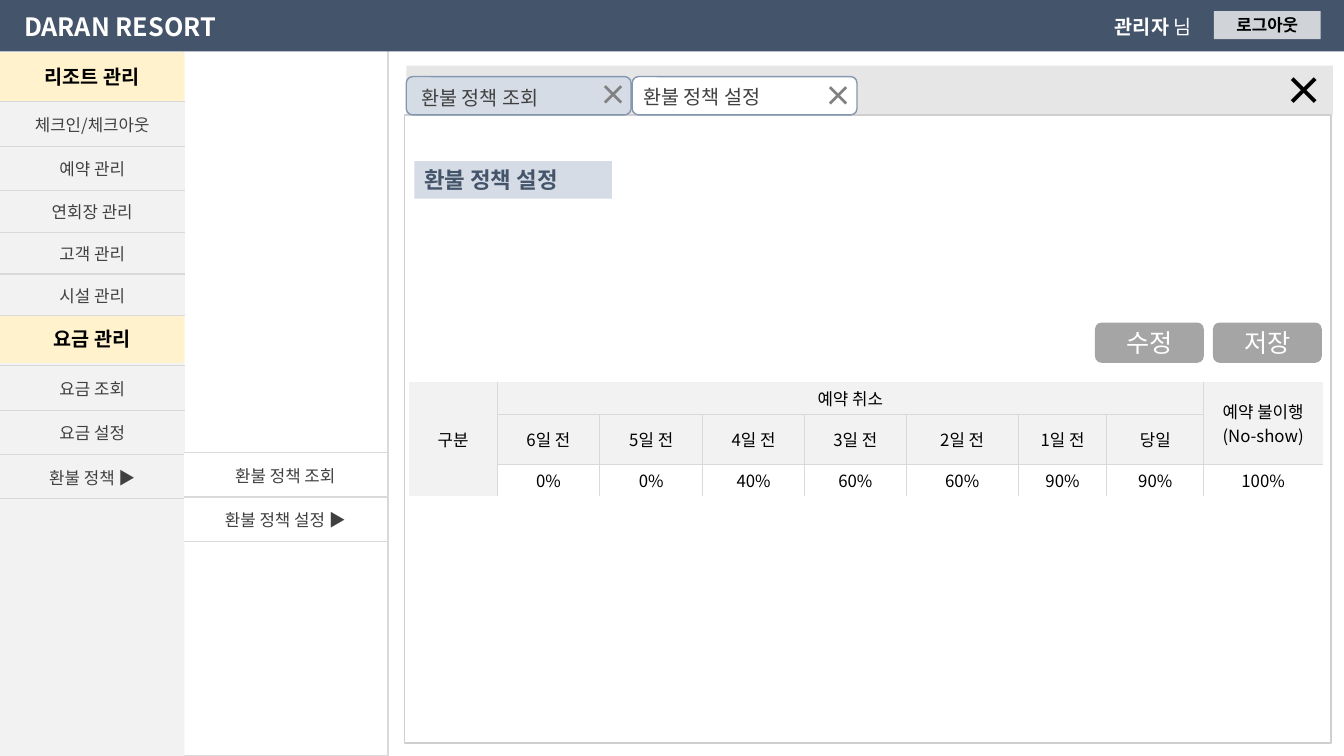
from dataclasses import dataclass
from typing import Callable, Optional

from lxml import etree
from pptx import Presentation
from pptx.dml.color import RGBColor
from pptx.enum.shapes import MSO_SHAPE
from pptx.enum.text import MSO_ANCHOR, PP_ALIGN
from pptx.oxml.ns import qn
from pptx.util import Emu, Pt

RECT, ROUND = MSO_SHAPE.RECTANGLE, MSO_SHAPE.ROUNDED_RECTANGLE
LEFT, CENTER = PP_ALIGN.LEFT, PP_ALIGN.CENTER
TOP, MIDDLE = MSO_ANCHOR.TOP, MSO_ANCHOR.MIDDLE
EMU_PER_PX = 9144  # 100 px to the inch


@dataclass(frozen=True)
class Theme:
    font: str = "Noto Sans CJK KR"
    navy: str = "44546A"
    tab_line: str = "8497B0"
    pale_blue: str = "D6DCE5"
    cream: str = "FFF2CC"
    white: str = "FFFFFF"
    black: str = "000000"
    light: str = "F2F2F2"
    strip: str = "E7E6E6"
    rule: str = "D9D9D9"
    frame: str = "D0CECE"
    button: str = "A5A5A5"
    cross: str = "808080"
    ink: str = "404040"
    small: int = 12
    body: int = 14
    heading: int = 16
    title: int = 18
    tab_cross: int = 20
    close: int = 28


T = Theme()


@dataclass(frozen=True)
class Box:
    """A preset shape, or a text box when shape is None; tail is a non-bold second run."""
    x: int
    y: int
    w: int
    h: int
    shape: Optional[MSO_SHAPE] = RECT
    fill: str = T.white
    line: Optional[str] = None
    text: str = ""
    tail: str = ""
    size: int = T.body
    color: str = T.black
    bold: bool = False
    align: PP_ALIGN = CENTER
    anchor: MSO_ANCHOR = MIDDLE
    opacity: int = 100


@dataclass(frozen=True)
class Menu:
    x: int
    y: int
    w: int
    fill: str
    heights: tuple[int, ...]
    items: tuple[str, ...]


def label(x: int, y: int, w: int, h: int, text: str, size: int, color: str,
          bold: bool = False, align: PP_ALIGN = LEFT, tail: str = "") -> Box:
    return Box(x, y, w, h, None, text=text, tail=tail, size=size, color=color,
               bold=bold, align=align, anchor=TOP)


def tab(x: int, fill: str) -> Box:
    return Box(x, 76, 223, 38, ROUND, fill, T.tab_line)


def button(x: int, text: str) -> Box:
    return Box(x, 320, 108, 40, ROUND, T.button, text=text, size=T.title, color=T.white)


def section(y: int, text: str) -> Box:
    return Box(0, y, 183, 48, fill=T.cream, text=text, bold=True)


BOXES = (
    Box(403, 65, 919, 49, fill=T.strip),
    Box(181, 50, 204, 700, line=T.rule),
    Box(0, 52, 183, 698, fill=T.light),
    section(52, "리조트 관리"),
    Box(0, 0, 1333, 51, fill=T.navy),
    label(0, 6, 238, 40, "DARAN RESORT", T.title, T.white, True, CENTER),
    label(1096, 10, 120, 34, "관리자", T.body, T.white, True, tail=" 님"),
    Box(1204, 11, 106, 28, text="로그아웃", size=T.small, bold=True, opacity=75),
    Box(401, 114, 919, 623, line=T.frame),
    label(1264, 61, 60, 57, "×", T.close, T.black, True),
    section(312, "요금 관리"),
    button(1086, "수정"),
    button(1203, "저장"),
    tab(627, T.white),
    tab(403, T.pale_blue),
    label(808, 73, 48, 44, "×", T.tab_cross, T.cross, True),
    label(585, 72, 48, 44, "×", T.tab_cross, T.cross, True),
    label(408, 80, 172, 34, "환불 정책 조회", T.body, T.ink),
    label(628, 79, 172, 34, "환불 정책 설정", T.body, T.ink),
    Box(411, 160, 196, 37, fill=T.pale_blue, text="환불 정책 설정", size=T.heading,
        color=T.navy, bold=True, align=LEFT, anchor=TOP),
)

MENUS = (
    Menu(0, 101, 183, T.light, (44, 44, 42, 41, 41),
         ("체크인/체크아웃", "예약 관리", "연회장 관리", "고객 관리", "시설 관리")),
    Menu(0, 363, 183, T.light, (44,) * 3, ("요금 조회", "요금 설정", "환불 정책 ▶")),
    Menu(182, 449, 202, T.white, (44,) * 2, ("환불 정책 조회", "환불 정책 설정 ▶")),
)

POLICY_WIDTHS = (87, 102, 102, 101, 101, 111, 88, 96, 118)
POLICY_HEIGHTS = (32, 50, 31)
POLICY_ROWS = (
    ("구분", "예약 취소", "", "", "", "", "", "", "예약 불이행\n(No-show)"),
    ("", "6일 전", "5일 전", "4일 전", "3일 전", "2일 전", "1일 전", "당일", ""),
    ("", "0%", "0%", "40%", "60%", "60%", "90%", "90%", "100%"),
)
POLICY_MERGES = ((0, 0, 2, 0), (0, 1, 0, 7), (0, 8, 1, 8))


def px(n: int) -> Emu:
    return Emu(n * EMU_PER_PX)


def rgb(color: str) -> RGBColor:
    return RGBColor.from_string(color)


def style_run(r, size: int, color: str, bold: bool) -> None:
    r.font.size, r.font.bold, r.font.name = Pt(size), bold, T.font
    r.font.color.rgb = rgb(color)
    etree.SubElement(r.font._element, qn("a:ea"), typeface=T.font)


def write(tf, text: str, size: int, color: str, bold: bool, align: PP_ALIGN) -> None:
    tf.text = text
    for p in tf.paragraphs:
        p.alignment = align
        for r in p.runs:
            style_run(r, size, color, bold)


def draw_box(slide, box: Box) -> None:
    area = (px(box.x), px(box.y), px(box.w), px(box.h))
    if box.shape is None:
        sp = slide.shapes.add_textbox(*area)
    else:
        sp = slide.shapes.add_shape(box.shape, *area)
        sp.shadow.inherit = False
        sp.fill.solid()
        sp.fill.fore_color.rgb = rgb(box.fill)
        if box.opacity < 100:
            clr = sp._element.spPr.find(".//" + qn("a:srgbClr"))
            etree.SubElement(clr, qn("a:alpha"), val=str(box.opacity * 1000))
        if box.line:
            sp.line.color.rgb = rgb(box.line)
            sp.line.width = Pt(1)
        else:
            sp.line.fill.background()
    if box.text:
        tf = sp.text_frame
        tf.word_wrap, tf.vertical_anchor = True, box.anchor
        write(tf, box.text, box.size, box.color, box.bold, box.align)
        if box.tail:
            r = tf.paragraphs[0].add_run()
            r.text = box.tail
            style_run(r, box.size, box.color, False)


def set_borders(cell, sides: str, width: float) -> None:
    """Rule the sides named by letters out of LRTB and clear the others."""
    tcPr = cell._tc.get_or_add_tcPr()
    for i, side in enumerate("LRTB"):
        ln = etree.Element(qn(f"a:ln{side}"), w=str(Pt(width)))
        if side in sides:
            solid = etree.SubElement(ln, qn("a:solidFill"))
            etree.SubElement(solid, qn("a:srgbClr"), val=T.rule)
        else:
            etree.SubElement(ln, qn("a:noFill"))
        tcPr.insert(i, ln)


def draw_table(slide, x: int, y: int, widths: tuple[int, ...], heights: tuple[int, ...],
               rows: tuple[tuple[str, ...], ...], color: str, fill: Callable[[int, int], str],
               borders: Callable[[int, int], str], line_width: float):
    table = slide.shapes.add_table(len(heights), len(widths), px(x), px(y),
                                   px(sum(widths)), px(sum(heights))).table
    table.first_row = table.horz_banding = False
    for col, w in zip(table.columns, widths):
        col.width = px(w)
    for i, (row, h) in enumerate(zip(table.rows, heights)):
        row.height = px(h)
        for j, cell in enumerate(row.cells):
            cell.margin_top = cell.margin_bottom = px(1)
            cell.vertical_anchor = MIDDLE
            cell.fill.solid()
            cell.fill.fore_color.rgb = rgb(fill(i, j))
            set_borders(cell, borders(i, j), line_width)
            if rows[i][j]:
                write(cell.text_frame, rows[i][j], T.small, color, False, CENTER)
    return table


def policy_region(i: int, j: int) -> tuple[int, int]:
    """Top-left cell of the merged block that holds cell i, j."""
    for top, left, bottom, right in POLICY_MERGES:
        if top <= i <= bottom and left <= j <= right:
            return top, left
    return i, j


def policy_borders(i: int, j: int) -> str:
    neighbours = {"L": (i, j - 1), "R": (i, j + 1), "T": (i - 1, j), "B": (i + 1, j)}
    return "".join(side for side, (a, b) in neighbours.items()
                   if 0 <= a < len(POLICY_HEIGHTS) and 0 <= b < len(POLICY_WIDTHS)
                   and policy_region(a, b) != policy_region(i, j))


def main() -> None:
    prs = Presentation()
    prs.slide_width, prs.slide_height = px(1333), px(750)
    slide = prs.slides.add_slide(prs.slide_layouts[6])
    for box in BOXES:
        draw_box(slide, box)
    for menu in MENUS:
        draw_table(slide, menu.x, menu.y, (menu.w,), menu.heights,
                   tuple((item,) for item in menu.items), T.ink,
                   lambda i, j: menu.fill, lambda i, j: "TB", 1)
    policy = draw_table(slide, 406, 379, POLICY_WIDTHS, POLICY_HEIGHTS, POLICY_ROWS, T.black,
                        lambda i, j: T.white if i == 2 and j else T.light, policy_borders, 0.75)
    for top, left, bottom, right in POLICY_MERGES:
        policy.cell(top, left).merge(policy.cell(bottom, right))
    prs.save("out.pptx")


if __name__ == "__main__":
    main()
